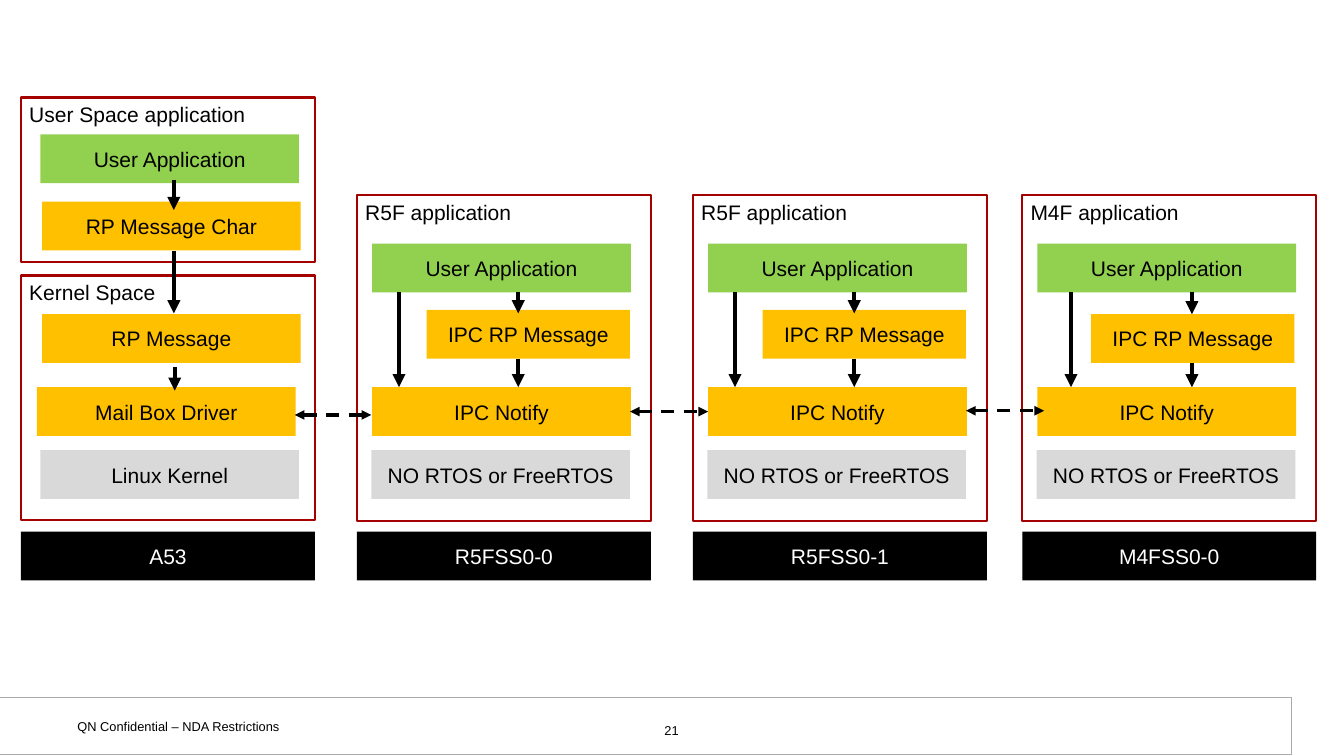
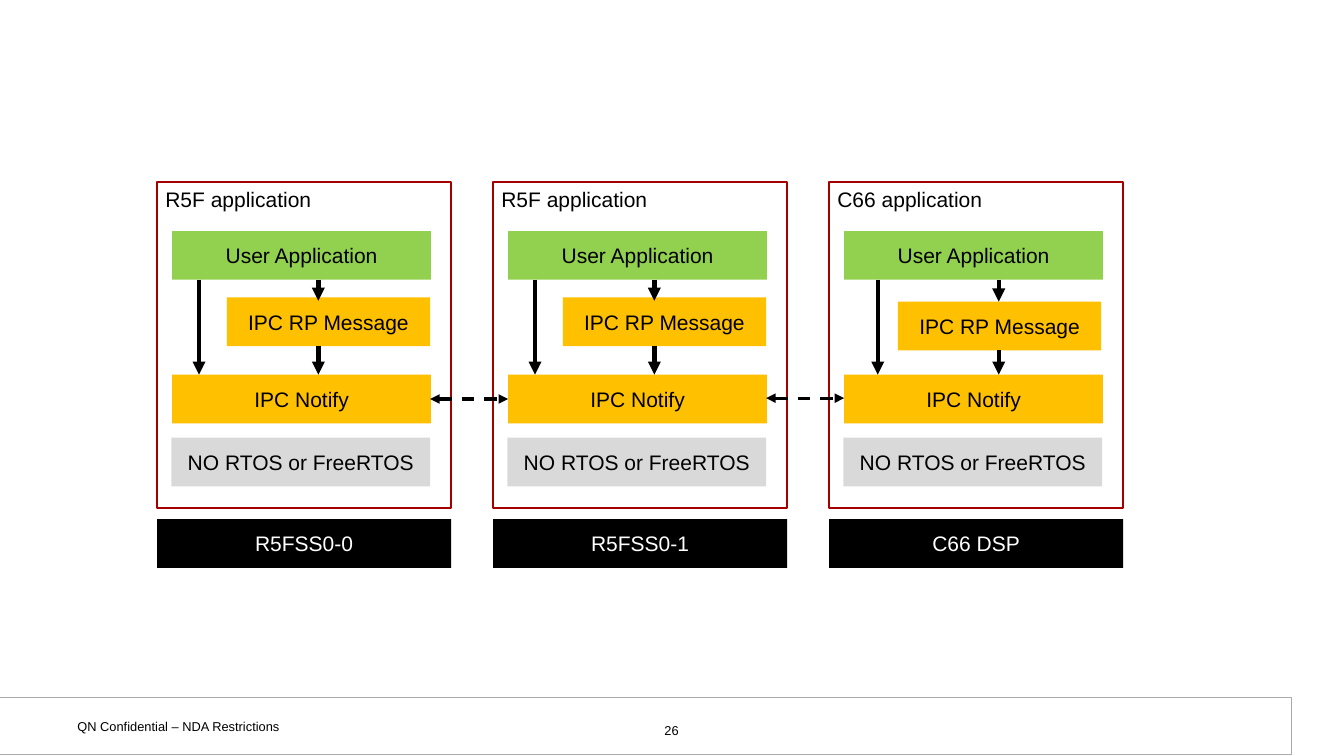
from dataclasses import dataclass

from lxml import etree
from pptx import Presentation
from pptx.dml.color import RGBColor
from pptx.enum.dml import MSO_LINE
from pptx.enum.shapes import MSO_CONNECTOR, MSO_SHAPE
from pptx.enum.text import MSO_ANCHOR, PP_ALIGN
from pptx.oxml.ns import qn
from pptx.util import Inches, Pt

RECTANGLE = MSO_SHAPE.RECTANGLE
STRAIGHT = MSO_CONNECTOR.STRAIGHT
DASH = MSO_LINE.DASH
LEFT, CENTER = PP_ALIGN.LEFT, PP_ALIGN.CENTER
TOP, MIDDLE = MSO_ANCHOR.TOP, MSO_ANCHOR.MIDDLE


@dataclass(frozen=True)
class Theme:
    font: str = "Arial"
    body_size: float = 18
    footer_size: float = 11
    panel_line: float = 2
    footer_line: float = 0.75
    arrow_line: float = 3.75
    link_line: float = 2.75
    white: str = "FFFFFF"
    black: str = "000000"
    red: str = "A40000"
    green: str = "92D050"
    amber: str = "FFC000"
    grey: str = "D9D9D9"
    border: str = "AAAAAA"


THEME = Theme()
FOOTER = "QN Confidential – NDA Restrictions"

PANEL_WIDTH, PANEL_HEIGHT = 3.5, 3.88
BOX_WIDTH, MESSAGE_WIDTH, BOX_HEIGHT = 3.08, 2.42, 0.58
CORE_OFFSET = 4.01

# Positions inside a column are inches from the top left of its main panel.
# panels: label, top, height; boxes: label, left, top, width, colour;
# arrows: left, top, bottom
LINUX = {
    "panels": [("User Space application", -1.16, 1.96), ("Kernel Space", 0.96, 2.91)],
    "boxes": [
        ("User Application", 0.23, -0.72, BOX_WIDTH, THEME.green),
        ("RP Message Char", 0.25, 0.08, BOX_WIDTH, THEME.amber),
        ("RP Message", 0.25, 1.42, BOX_WIDTH, THEME.amber),
        ("Mail Box Driver", 0.19, 2.29, BOX_WIDTH, THEME.amber),
        ("Linux Kernel", 0.23, 3.04, BOX_WIDTH, THEME.grey),
    ],
    "arrows": [(1.82, -0.18, 0.18), (1.82, 0.67, 1.41), (1.83, 2.05, 2.33)],
}


def ipc_stack(label, message_left=0.83, message_top=1.37, direct_left=0.5,
              message_arrow=1.92, message_arrow_end=1.41):
    app_top, notify_top = 0.58, 2.29
    app_bottom = app_top + BOX_HEIGHT
    message_bottom = message_top + BOX_HEIGHT
    return {
        "panels": [(label, 0, PANEL_HEIGHT)],
        "boxes": [
            ("User Application", 0.18, app_top, BOX_WIDTH, THEME.green),
            ("IPC RP Message", message_left, message_top, MESSAGE_WIDTH, THEME.amber),
            ("IPC Notify", 0.18, notify_top, BOX_WIDTH, THEME.amber),
            ("NO RTOS or FreeRTOS", 0.17, 3.04, BOX_WIDTH, THEME.grey),
        ],
        "arrows": [
            (direct_left, app_bottom, notify_top),
            (message_arrow, app_bottom, message_arrow_end),
            (message_arrow, message_bottom, notify_top),
        ],
    }


def low_message_stack(label):
    return ipc_stack(label, message_left=0.82, message_top=1.42, direct_left=0.58,
                     message_arrow=2.02, message_arrow_end=1.42)


R5F = ipc_stack("R5F application")

# columns: left, core, stack; links: left, right, y
SLIDES = [
    {
        "number": "21",
        "top": 2.32,
        "columns": [
            (0.25, "A53", LINUX),
            (4.25, "R5FSS0-0", R5F),
            (8.25, "R5FSS0-1", R5F),
            (12.17, "M4FSS0-0", low_message_stack("M4F application")),
        ],
        "links": [(3.51, 4.42, 4.94), (7.5, 8.43, 4.9), (11.5, 12.43, 4.89)],
    },
    {
        "number": "26",
        "top": 2.17,
        "columns": [
            (1.87, "R5FSS0-0", R5F),
            (5.87, "R5FSS0-1", R5F),
            (9.87, "C66 DSP", low_message_stack("C66 application")),
        ],
        "links": [(5.12, 6.05, 4.75), (9.12, 10.05, 4.74)],
    },
]


def color(value):
    return RGBColor.from_string(value)


def write(shape, text, size=THEME.body_size, text_color=THEME.black,
          align=CENTER, anchor=MIDDLE, insets=(0.1, 0.05)):
    frame = shape.text_frame
    frame.word_wrap = True
    frame.vertical_anchor = anchor
    frame.margin_left = frame.margin_right = Inches(insets[0])
    frame.margin_top = frame.margin_bottom = Inches(insets[1])
    frame.text = text
    paragraph = frame.paragraphs[0]
    paragraph.alignment = align
    font = paragraph.runs[0].font
    font.name = THEME.font
    font.size = Pt(size)
    font.color.rgb = color(text_color)


def add_rectangle(slide, left, top, width, height, fill, line=None, line_width=0):
    shape = slide.shapes.add_shape(
        RECTANGLE, Inches(left), Inches(top), Inches(width), Inches(height))
    shape.shadow.inherit = False
    shape.fill.solid()
    shape.fill.fore_color.rgb = color(fill)
    if line:
        shape.line.color.rgb = color(line)
        shape.line.width = Pt(line_width)
    else:
        shape.line.fill.background()
    return shape


def add_arrow(slide, start, end, width, two_way_dashed=False):
    connector = slide.shapes.add_connector(
        STRAIGHT, *(Inches(value) for value in (*start, *end)))
    connector.line.color.rgb = color(THEME.black)
    connector.line.width = Pt(width)
    if two_way_dashed:
        connector.line.dash_style = DASH
    properties = connector._element.spPr
    line = properties.find(qn("a:ln"))
    for tag in ("a:headEnd", "a:tailEnd") if two_way_dashed else ("a:tailEnd",):
        etree.SubElement(line, qn(tag), type="triangle")
    etree.SubElement(properties, qn("a:effectLst"))


def add_footer(slide, number):
    add_rectangle(slide, -0.03, 8.3, 15.4, 0.68, THEME.white,
                  THEME.border, THEME.footer_line)
    for text, left, top, width, height, align in (
        (FOOTER, 0.79, 8.48, 3.69, 0.32, LEFT),
        (number, 6.13, 8.53, 3.73, 0.27, CENTER),
    ):
        box = slide.shapes.add_textbox(
            Inches(left), Inches(top), Inches(width), Inches(height))
        write(box, text, THEME.footer_size, align=align, anchor=TOP,
              insets=(0.13, 0.07))


def add_column(slide, left, top, core, stack):
    for label, offset, height in stack["panels"]:
        panel = add_rectangle(slide, left, top + offset, PANEL_WIDTH, height,
                              THEME.white, THEME.red, THEME.panel_line)
        write(panel, label, align=LEFT, anchor=TOP)
    for label, x, y, width, fill in stack["boxes"]:
        write(add_rectangle(slide, left + x, top + y, width, BOX_HEIGHT, fill), label)
    for x, start, end in stack["arrows"]:
        add_arrow(slide, (left + x, top + start), (left + x, top + end),
                  THEME.arrow_line)
    core_bar = add_rectangle(slide, left, top + CORE_OFFSET, PANEL_WIDTH,
                             BOX_HEIGHT, THEME.black)
    write(core_bar, core, text_color=THEME.white)


def main():
    presentation = Presentation()
    presentation.slide_width = Inches(16)
    presentation.slide_height = Inches(9)
    blank = presentation.slide_layouts[6]
    for content in SLIDES:
        slide = presentation.slides.add_slide(blank)
        add_footer(slide, content["number"])
        for left, core, stack in content["columns"]:
            add_column(slide, left, content["top"], core, stack)
        for left, right, y in content["links"]:
            add_arrow(slide, (left, y), (right, y), THEME.link_line,
                      two_way_dashed=True)
    presentation.save("out.pptx")


if __name__ == "__main__":
    main()
